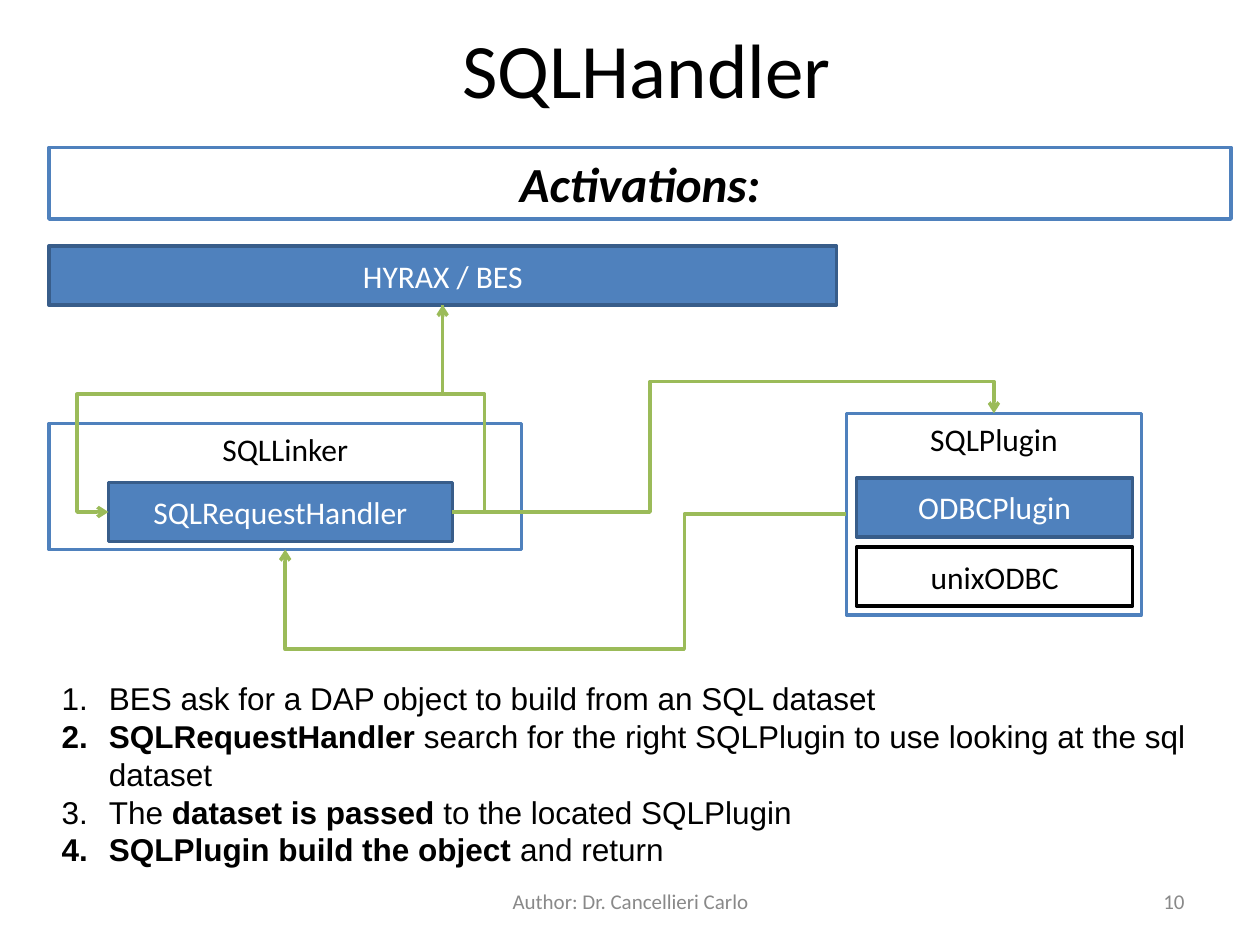
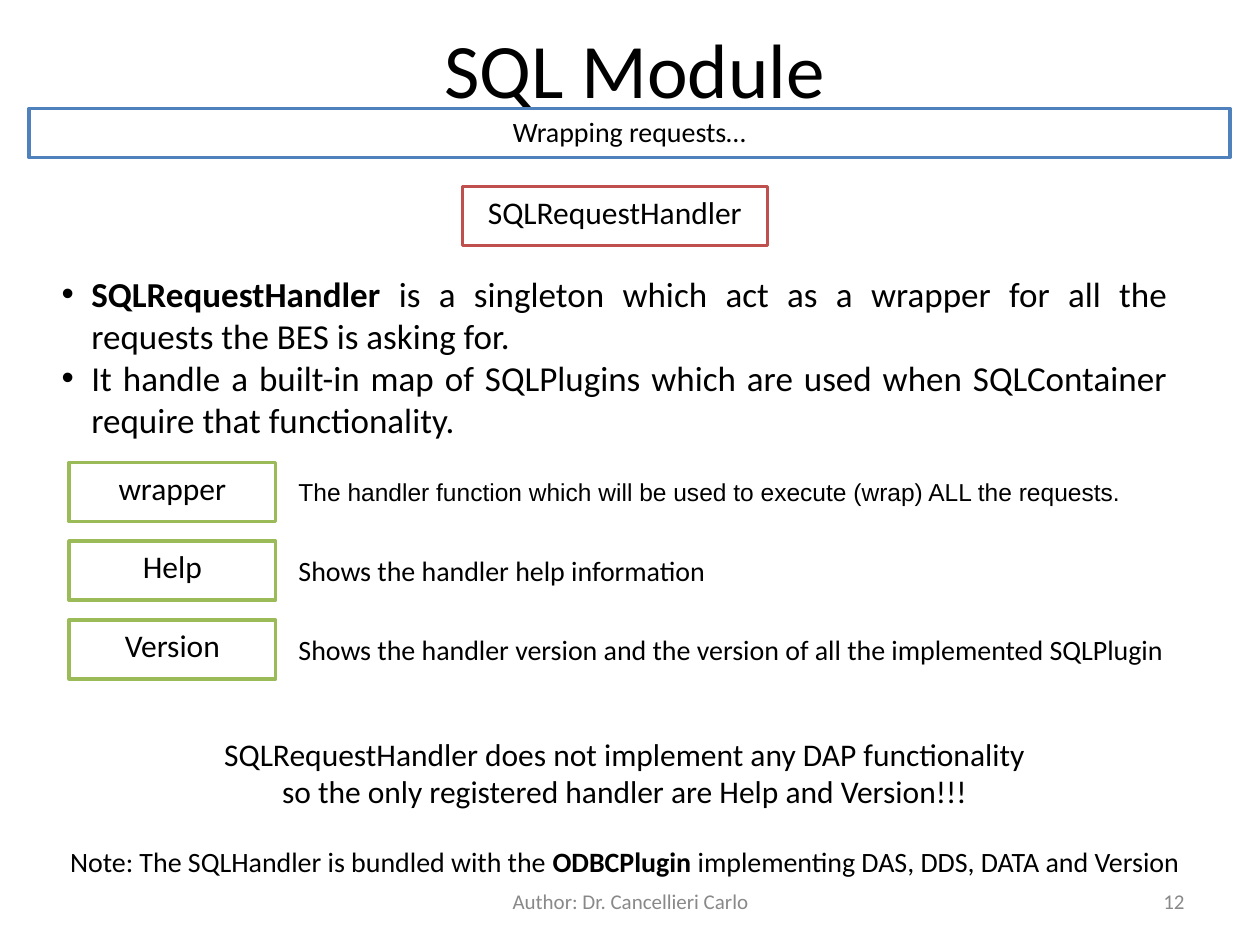
from lxml.etree import SubElement
from pptx import Presentation
from pptx.dml.color import RGBColor
from pptx.enum.shapes import MSO_CONNECTOR as Connector, MSO_SHAPE as Shape
from pptx.enum.text import MSO_ANCHOR as Anchor, MSO_AUTO_SIZE as AutoSize, PP_ALIGN as Align
from pptx.oxml.ns import qn
from pptx.util import Pt

BLACK = "000000"
WHITE = "FFFFFF"
GREY = "898989"
BLUE = "4F81BD"
NAVY = "385D8A"
RED = "C0504D"
GREEN = "9BBB59"

LINE_WIDTH = 2
BOX_HEIGHT = 33.75
TOP, LEFT, BOTTOM, RIGHT = range(4)

TITLE = {"size": 44}
BAND = {"size": 28, "bold": True, "italic": True}
LABEL = {"size": 18}
LABEL_ON_BLUE = {"size": 18, "color": WHITE}
NUMBERED = {"size": 18, "name": "Arial"}
BULLETED = {"size": 20}
DETAIL = {"size": 16}
DETAIL_ARIAL = {"size": 14, "name": "Arial"}
FOOTER = {"size": 12, "color": GREY}


def rgb(value):
    return RGBColor.from_string(value)


def format_font(font, values):
    for name, value in {"name": "Calibri", "color": BLACK, **values}.items():
        if name == "color":
            font.color.rgb = rgb(value)
        else:
            setattr(font, name, Pt(value) if name == "size" else value)


def write_paragraph(paragraph, text, values, align):
    paragraph.alignment = align
    for index, part in enumerate(text.split("**")):
        if part:
            run = paragraph.add_run()
            run.text = part
            format_font(run.font, {**values, "bold": True} if index % 2 else values)


def write_text(shape, texts, values, align=Align.CENTER, anchor=Anchor.TOP):
    frame = shape.text_frame
    settings = {"word_wrap": True, "auto_size": AutoSize.NONE, "vertical_anchor": anchor}
    for name, value in settings.items():
        setattr(frame, name, value)
    for index, text in enumerate(texts):
        paragraph = frame.add_paragraph() if index else frame.paragraphs[0]
        write_paragraph(paragraph, text, values, align)
    return frame.paragraphs


def place(shape, box):
    for name, value in zip(("left", "top", "width", "height"), box):
        setattr(shape, name, Pt(value))


def add_text(slide, box, texts, values, align=Align.CENTER, anchor=Anchor.TOP):
    shape = slide.shapes.add_textbox(*map(Pt, box))
    return write_text(shape, texts, values, align, anchor)


def add_box(slide, box, text, values, line, fill=WHITE, anchor=Anchor.TOP):
    shape = slide.shapes.add_shape(Shape.RECTANGLE, *map(Pt, box))
    shape.shadow.inherit = False
    shape.fill.solid()
    shape.fill.fore_color.rgb = rgb(fill)
    shape.line.color.rgb = rgb(line)
    shape.line.width = Pt(LINE_WIDTH)
    write_text(shape, [text], values, anchor=anchor)
    return shape


def add_blue_box(slide, box, text):
    return add_box(slide, box, text, LABEL_ON_BLUE, NAVY, BLUE, Anchor.MIDDLE)


def add_list(slide, box, items, values, align, indent, bullet, attributes):
    body = slide.placeholders[1]
    place(body, box)
    for paragraph in write_text(body, items, values, align):
        paragraph.space_before = Pt(0)
        properties = paragraph._p.get_or_add_pPr()
        properties.set("marL", str(Pt(indent)))
        properties.set("indent", str(-Pt(indent)))
        SubElement(properties, qn(bullet), attributes)


def add_route(slide, start, start_site, end, end_site, corner, arrow="a:tailEnd"):
    connector = slide.shapes.add_connector(Connector.ELBOW, 0, 0, 0, 0)
    connector.begin_connect(start, start_site)
    connector.end_connect(end, end_site)
    connector.line.color.rgb = rgb(GREEN)
    connector.line.width = Pt(LINE_WIDTH)

    corner_x, corner_y = map(Pt, corner)
    ratios = (
        (corner_x - connector.begin_x) / (connector.end_x - connector.begin_x),
        (corner_y - connector.begin_y) / (connector.end_y - connector.begin_y),
    )
    properties = connector._element.spPr
    geometry = properties.find(qn("a:prstGeom"))
    geometry.set("prst", "bentConnector4")
    adjustments = geometry.find(qn("a:avLst"))
    for number, ratio in enumerate(ratios, 1):
        formula = f"val {round(ratio * 100000)}"
        SubElement(adjustments, qn("a:gd"), {"name": f"adj{number}", "fmla": formula})
    SubElement(properties.find(qn("a:ln")), qn(arrow), {"type": "arrow"})
    SubElement(properties, qn("a:effectLst"))


def add_slide(presentation, title, title_box):
    slide = presentation.slides.add_slide(presentation.slide_layouts[1])
    place(slide.shapes.title, title_box)
    write_text(slide.shapes.title, [title], TITLE, anchor=Anchor.MIDDLE)
    return slide


def add_footer(slide, number):
    add_text(slide, (516.25, 500.5, 167.75, 28.75), [number], FOOTER, Align.RIGHT, Anchor.MIDDLE)
    add_text(slide, (246.25, 500.5, 228.25, 28.75), ["Author: Dr. Cancellieri Carlo"],
             FOOTER, anchor=Anchor.MIDDLE)


def build_activations(presentation):
    slide = add_slide(presentation, "SQLHandler", (63.5, 0, 612, 77.75))
    add_box(slide, (28, 84.25, 675.5, 41), "Activations:", BAND, BLUE)
    add_footer(slide, "10")

    server = add_blue_box(slide, (28, 140.5, 450, BOX_HEIGHT), "HYRAX / BES")
    linker = add_box(slide, (28, 242, 270, 72), "SQLLinker", LABEL, BLUE)
    handler = add_blue_box(slide, (62, 275.75, 196.5, BOX_HEIGHT), "SQLRequestHandler")
    plugin = add_box(slide, (483.75, 236.25, 168.5, 115.25), "SQLPlugin", LABEL, BLUE)
    add_box(slide, (489.5, 312.5, 157.75, BOX_HEIGHT), "unixODBC", LABEL, BLACK,
            anchor=Anchor.MIDDLE)
    add_blue_box(slide, (489.5, 273, 157.75, BOX_HEIGHT), "ODBCPlugin")

    add_route(slide, handler, LEFT, server, BOTTOM, (44, 225.25), "a:headEnd")
    add_route(slide, handler, RIGHT, plugin, TOP, (371.5, 218))
    add_route(slide, plugin, LEFT, linker, BOTTOM, (391, 371))
    add_route(slide, handler, RIGHT, server, BOTTOM, (277, 225.25))

    steps = [
        "BES ask for a DAP object to build from an SQL dataset",
        "**SQLRequestHandler** search for the right SQLPlugin to use looking at the sql dataset",
        "The **dataset is passed **to the located SQLPlugin",
        "**SQLPlugin build the object **and return",
    ]
    add_list(slide, (28, 384.5, 658, 115.25), steps, NUMBERED, Align.LEFT, 27,
             "a:buAutoNum", {"type": "arabicPeriod"})


def build_wrapping(presentation):
    slide = add_slide(presentation, "SQL Module", (28, 0, 669.5, 77.75))
    add_box(slide, (16.5, 62, 686.25, 28), "Wrapping requests…", DETAIL, BLUE)
    add_box(slide, (264.25, 106.5, 174.25, BOX_HEIGHT), "SQLRequestHandler", LABEL, RED)

    facts = [
        "**SQLRequestHandler** is a singleton which act as a wrapper for all the "
        "requests the BES is asking for.",
        "It handle a built-in map of SQLPlugins which are used when SQLContainer "
        "require that functionality.",
    ]
    add_list(slide, (28, 152, 646.5, 103.75), facts, BULLETED, Align.JUSTIFY, 17,
             "a:buChar", {"char": "•"})

    functions = [
        ("wrapper", "The handler function which will be used to execute (wrap) ALL the requests.",
         DETAIL_ARIAL),
        ("Help", "Shows the handler help information", DETAIL),
        ("Version", "Shows the handler version and the version of all the implemented SQLPlugin",
         DETAIL),
    ]
    for row, (name, description, values) in enumerate(functions):
        top = 264.25 + 45 * row
        add_box(slide, (39.5, top, 118, BOX_HEIGHT), name, LABEL, GREEN)
        add_text(slide, (163.5, top, 523.5, BOX_HEIGHT), [description], values,
                 Align.LEFT, Anchor.MIDDLE)

    conclusion = [
        "SQLRequestHandler does not implement any DAP functionality",
        "so the only registered handler are Help and Version!!!",
        "Note: The SQLHandler is bundled with the **ODBCPlugin** implementing "
        "DAS, DDS, DATA and Version",
    ]
    note = add_text(slide, (22.25, 416.25, 669.5, 89.25), conclusion, LABEL)[-1]
    note.space_before = Pt(19.5)
    for run in note.runs:
        run.font.size = Pt(16)
    add_footer(slide, "12")


def main():
    presentation = Presentation()
    presentation.slide_width = Pt(720)
    presentation.slide_height = Pt(540)
    build_activations(presentation)
    build_wrapping(presentation)
    presentation.save("out.pptx")


if __name__ == "__main__":
    main()
